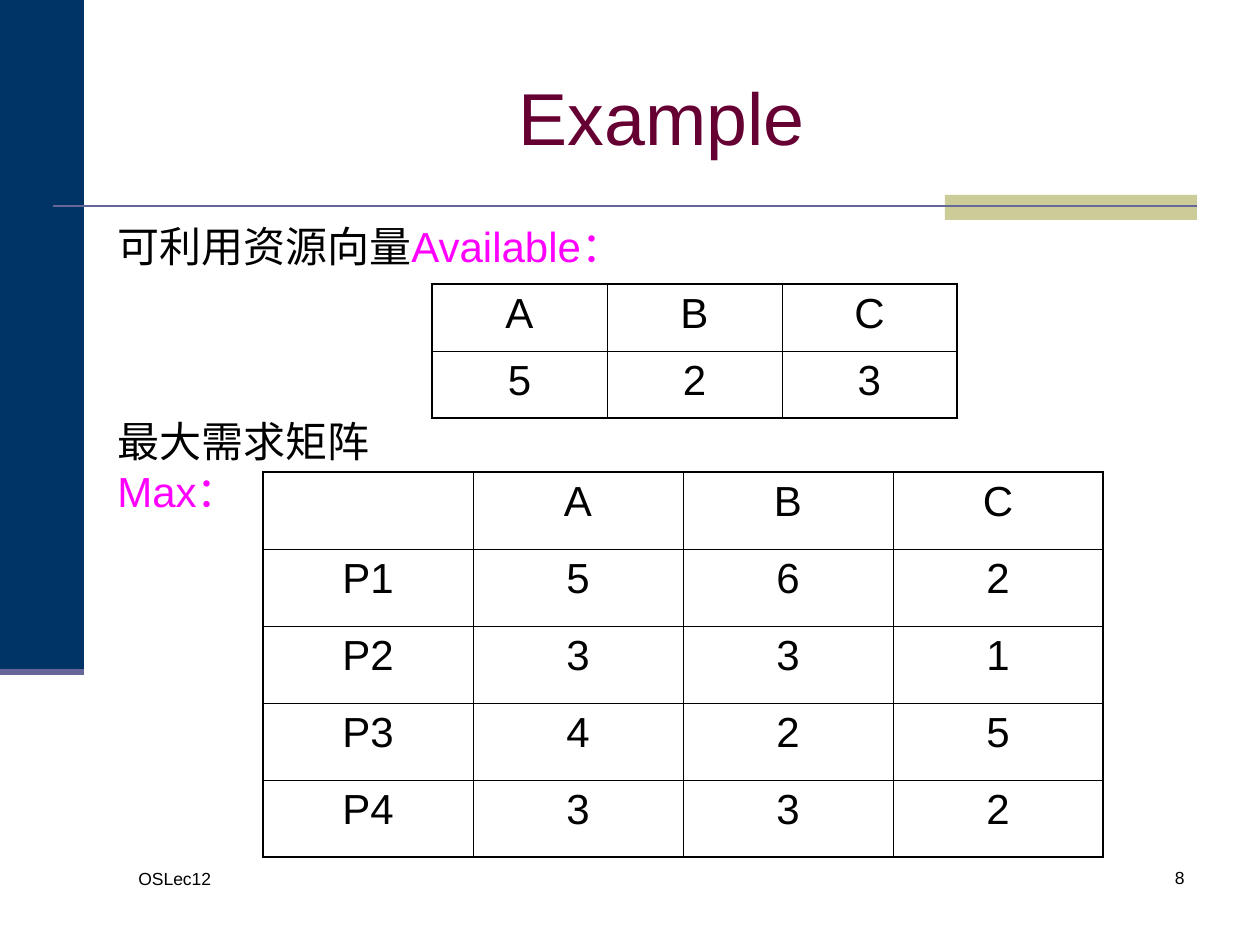
import pptx
import pptx.dml.color
import pptx.enum.shapes
import pptx.enum.text
import pptx.util
from lxml import etree
from pptx.oxml.ns import qn

PX = 914400 / 126  # EMU per px
ALIGN = pptx.enum.text.PP_ALIGN


def px(*lengths):
    return [pptx.util.Emu(round(length * PX)) for length in lengths]


def color(hex_string):
    return pptx.dml.color.RGBColor.from_string(hex_string)


deck = pptx.Presentation()
deck.slide_width, deck.slide_height = px(1260, 945)
slide = deck.slides.add_slide(deck.slide_layouts[5])
shapes = slide.shapes

# Side bar and tan accent
for box, fill in [((0, 0, 84, 672), "003366"), ((945, 195, 252, 25), "CCCC99")]:
    block = shapes.add_shape(pptx.enum.shapes.MSO_SHAPE.RECTANGLE, *px(*box))
    block.shadow.inherit = False
    block.fill.solid()
    block.fill.fore_color.rgb = color(fill)
    block.line.fill.background()

# Rule under the title and edge of the side bar
for ends, width in [((53, 206, 1197, 206), 1.5), ((0, 672, 84, 672), 3.5)]:
    rule = shapes.add_connector(pptx.enum.shapes.MSO_CONNECTOR.STRAIGHT, *px(*ends))
    rule.line.color.rgb = color("666699")
    rule.line.width = pptx.util.Pt(width)
    etree.SubElement(rule._element.spPr, qn("a:effectLst"))

# Title
title = shapes.title
title.left, title.top, title.width, title.height = px(126, 38, 1071, 157)
title.text_frame.text = "Example"
title.text_frame.auto_size = pptx.enum.text.MSO_AUTO_SIZE.NONE
title.text_frame.vertical_anchor = pptx.enum.text.MSO_ANCHOR.MIDDLE
heading = title.text_frame.paragraphs[0]
heading.alignment = ALIGN.CENTER
heading_format = {"name": "Arial", "size": pptx.util.Pt(42)}
for key, value in heading_format.items():
    setattr(heading.runs[0].font, key, value)
heading.runs[0].font.color.rgb = color("660033")

# Tables: left, top, column width, row height, rows of text
available = (432, 284, 175, 67, ["A B C".split(), "5 2 3".split()])
maximum = (263, 472, 210, 77, [
    ["", "A", "B", "C"],
    ["P1", "5", "6", "2"],
    ["P2", "3", "3", "1"],
    ["P3", "4", "2", "5"],
    ["P4", "3", "3", "2"],
])
for left, top, col_width, row_height, rows in (available, maximum):
    row_count, col_count = len(rows), len(rows[0])
    frame = shapes.add_table(row_count, col_count, *px(
        left, top, col_width * col_count, row_height * row_count))
    grid = frame.table
    grid.first_row = grid.horz_banding = False
    for column in grid.columns:
        column.width = px(col_width)[0]
    for r, row in enumerate(rows):
        grid.rows[r].height = px(row_height)[0]
        for c, value in enumerate(row):
            cell = grid.cell(r, c)
            entry = cell.text_frame.paragraphs[0]
            entry.alignment = ALIGN.CENTER
            entry.space_before = pptx.util.Pt(6)
            if value:
                entry.add_run().text = value
            entry.font.name = "Arial"
            entry.font.size = pptx.util.Pt(24)
            entry.font.color.rgb = color("000000")
            # Thick outer edges, thin inner ones
            outer = {"lnL": c == 0, "lnR": c == col_count - 1,
                     "lnT": r == 0, "lnB": r == row_count - 1}
            properties = cell._tc.get_or_add_tcPr()
            for side, is_outer in outer.items():
                width = pptx.util.Pt(1.08 if is_outer else 0.45)
                edge = etree.SubElement(properties, qn(f"a:{side}"), w=str(width))
                solid = etree.SubElement(edge, qn("a:solidFill"))
                etree.SubElement(solid, qn("a:srgbClr"), val="000000")
            cell.fill.background()

# Table labels, footer and slide number: box, size, alignment, runs
texts = [
    ((105, 214, 556, 63), 24, ALIGN.LEFT,
     [("可利用资源向量", "000000"), ("Available：", "FF00FF")]),
    ((105, 409, 390, 63), 24, ALIGN.LEFT,
     [("最大需求矩阵", "000000"), ("Max：", "FF00FF")]),
    ((126, 862, 273, 63), 10, ALIGN.LEFT, [("OSLec12", "000000")]),
    ((935, 861, 262, 63), 10, ALIGN.RIGHT, [("8", "000000")]),
]
for box, size, alignment, runs in texts:
    text_frame = shapes.add_textbox(*px(*box)).text_frame
    text_frame.word_wrap = True
    line = text_frame.paragraphs[0]
    line.alignment = alignment
    for words, run_color in runs:
        run = line.add_run()
        run.text = words
        for key, value in {"name": "Arial", "size": pptx.util.Pt(size)}.items():
            setattr(run.font, key, value)
        run.font.color.rgb = color(run_color)

deck.save("out.pptx")
